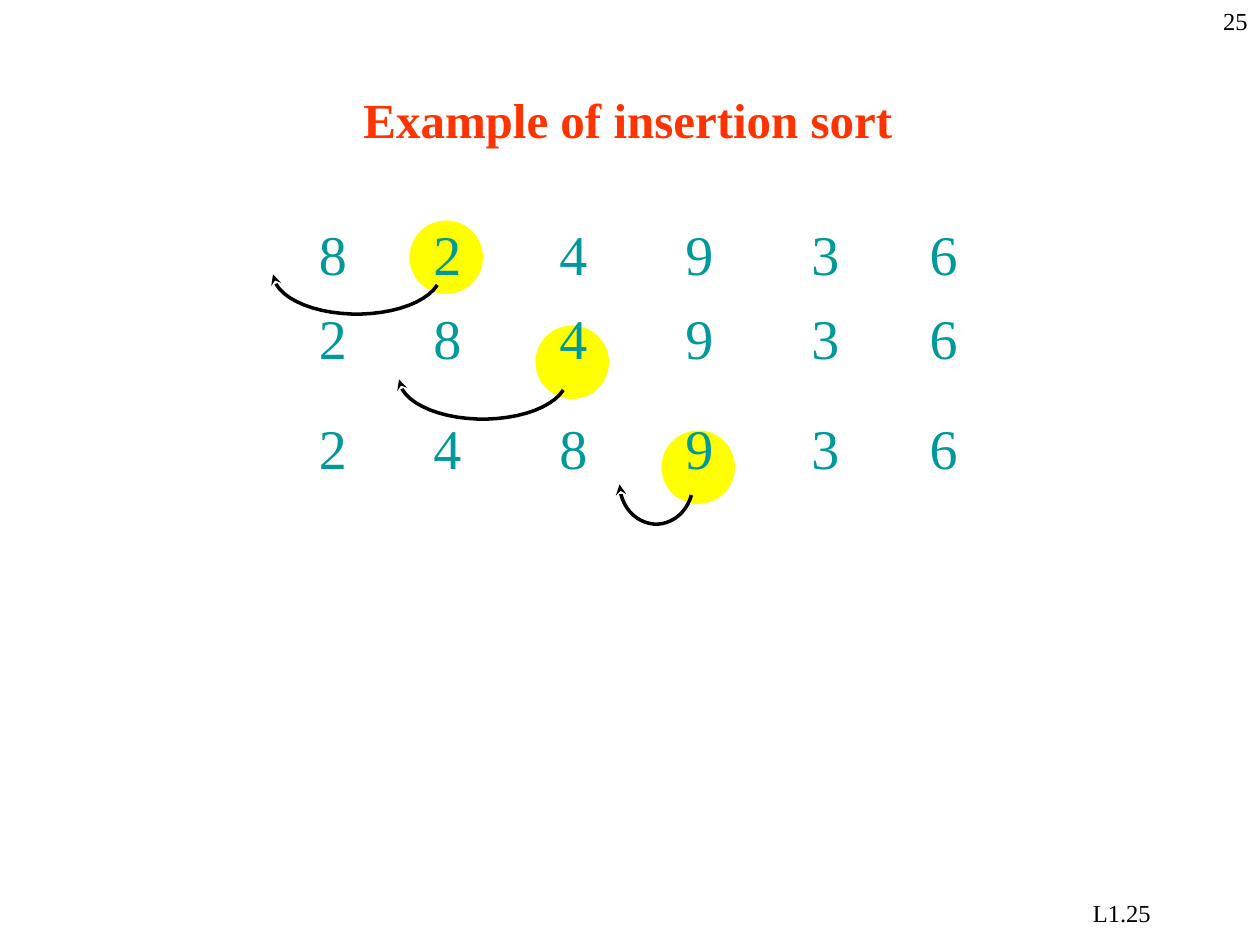
from math import cos, radians, sin

from lxml.etree import SubElement
from pptx import Presentation
from pptx.dml.color import RGBColor
from pptx.enum.shapes import MSO_SHAPE
from pptx.enum.text import MSO_ANCHOR, PP_ALIGN
from pptx.oxml.ns import qn
from pptx.util import Pt

RED = RGBColor(0xFF, 0x33, 0x00)
TEAL = RGBColor(0x00, 0x99, 0x99)
YELLOW = RGBColor(0xFF, 0xFF, 0x00)
BLACK = RGBColor(0x00, 0x00, 0x00)
NO_GRID_STYLE = "{2D5ABB26-0587-4C30-8999-92F81FD0307C}"


def write(frame, text, size=14, color=BLACK, bold=False, align=PP_ALIGN.LEFT,
          spacing=None, anchor=MSO_ANCHOR.TOP, margins=None):
    frame.word_wrap = True
    frame.vertical_anchor = anchor
    if margins:
        frame.margin_left = frame.margin_right = Pt(margins[0])
        frame.margin_top = frame.margin_bottom = Pt(margins[1])
    paragraph = frame.paragraphs[0]
    paragraph.alignment = align
    if spacing:
        paragraph.line_spacing = Pt(spacing)
    run = paragraph.add_run()
    run.text = text
    run.font.name = "Times New Roman"
    run.font.size = Pt(size)
    run.font.bold = bold
    run.font.color.rgb = color


presentation = Presentation()
presentation.slide_width = Pt(720)
presentation.slide_height = Pt(540)
slide = presentation.slides.add_slide(presentation.slide_layouts[5])
shapes = slide.shapes

title = shapes.title
title.left, title.top, title.width, title.height = Pt(120), Pt(40.5), Pt(477.5), Pt(54.5)
write(title.text_frame, "Example of insertion sort", size=28, color=RED, bold=True,
      align=PP_ALIGN.CENTER, anchor=MSO_ANCHOR.MIDDLE, margins=(0, 0))

for step, arc_radius in enumerate([48, 48, 21]):
    left, top = 234 + 72 * step, 126 + 60 * step
    key_circle = shapes.add_shape(MSO_SHAPE.OVAL, Pt(left), Pt(top), Pt(42), Pt(42))
    key_circle.shadow.inherit = False
    key_circle.fill.solid()
    key_circle.fill.fore_color.rgb = YELLOW
    key_circle.line.fill.background()

    center_x, center_y = left + 18 - arc_radius, top + 30
    arc = [(Pt(center_x + arc_radius * cos(radians(angle))),
            Pt(center_y + 23.5 * sin(radians(angle))))
           for angle in range(17, 179, 7)]
    builder = shapes.build_freeform(*arc[0])
    builder.add_line_segments(arc[1:], close=False)
    insertion_arrow = builder.convert_to_shape()
    insertion_arrow.shadow.inherit = False
    insertion_arrow.fill.background()
    insertion_arrow.line.color.rgb = BLACK
    insertion_arrow.line.width = Pt(2)
    SubElement(insertion_arrow.line._get_or_add_ln(), qn("a:tailEnd"), type="stealth")

passes = ["824936", "284936", "248936"]
numbers_frame = shapes.add_table(3, 6, Pt(172.8), Pt(126), Pt(381.6), Pt(155))
numbers_frame._element.xpath(".//a:tableStyleId")[0].text = NO_GRID_STYLE
numbers = numbers_frame.table
numbers.first_row = numbers.horz_banding = False
for column, width in zip(numbers.columns, [46.8, 72, 72, 72, 72, 46.8]):
    column.width = Pt(width)
alignments = [PP_ALIGN.LEFT] + [PP_ALIGN.CENTER] * 4 + [PP_ALIGN.RIGHT]
for row, digits, height, spacing in zip(numbers.rows, passes, [47.5, 60, 47.5], [35, None, 38]):
    row.height = Pt(height)
    for cell, digit, align in zip(row.cells, digits, alignments):
        cell.fill.background()
        write(cell.text_frame, digit, size=32, color=TEAL, align=align, spacing=spacing)
    row.cells[0].margin_left = Pt(9.4)

lecture_page = shapes.add_textbox(Pt(624.5), Pt(514), Pt(37.5), Pt(16.5))
write(lecture_page.text_frame, "L1.25", spacing=16.2, margins=(0, 0))
page_number = shapes.add_textbox(Pt(570), Pt(0), Pt(150), Pt(36))
write(page_number.text_frame, "25", align=PP_ALIGN.RIGHT, margins=(7.2, 3.6))

presentation.save("out.pptx")
